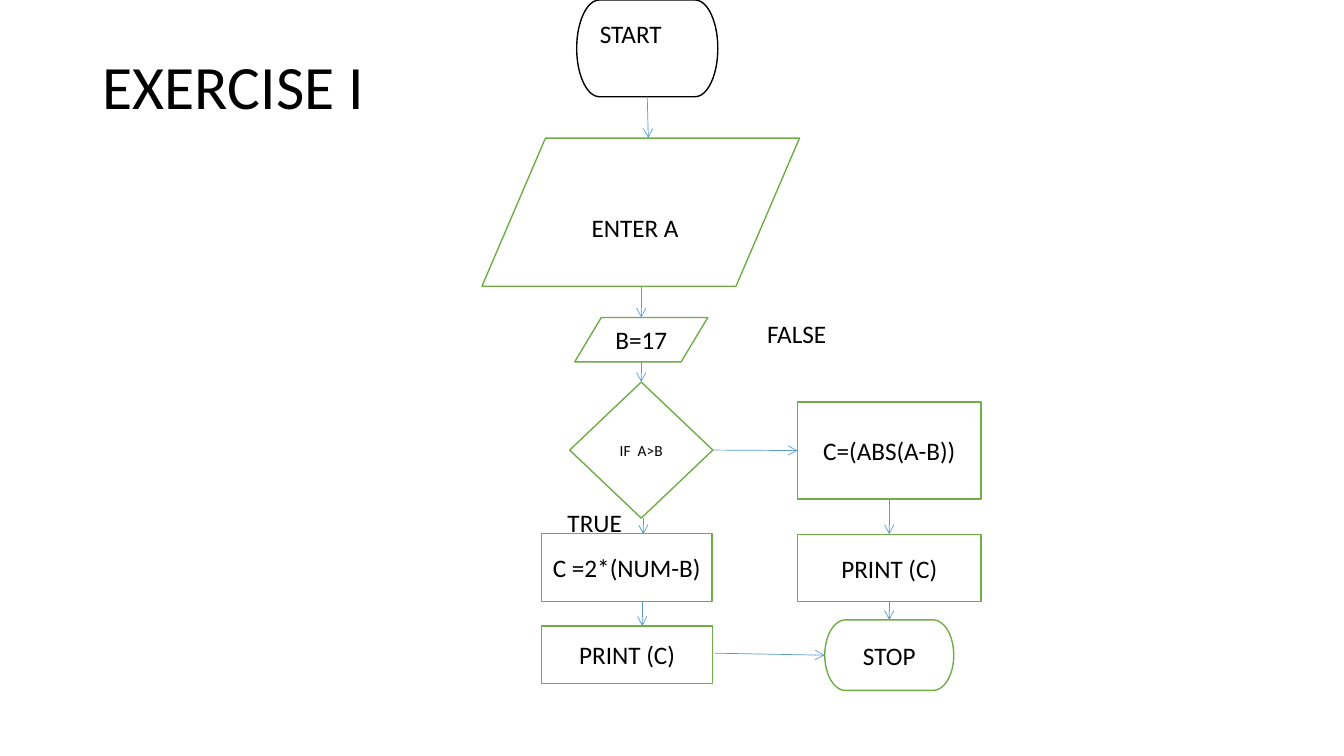
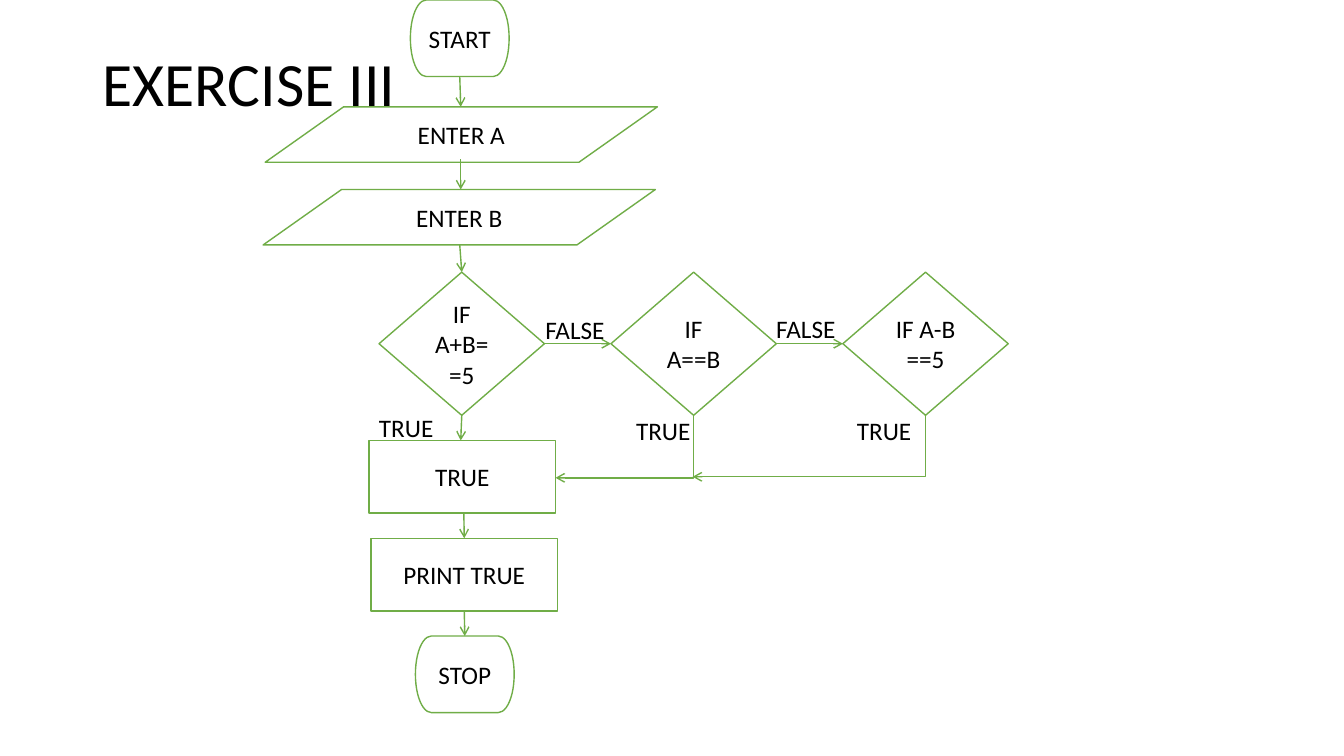
"""Build two flowchart slides for programming exercises."""
import dataclasses

import lxml.etree
import pptx
import pptx.dml.color
import pptx.enum.shapes
import pptx.enum.text
import pptx.oxml.ns
import pptx.util

KIND = pptx.enum.shapes.MSO_SHAPE
CONNECTOR = pptx.enum.shapes.MSO_CONNECTOR
ALIGN = pptx.enum.text.PP_ALIGN
ANCHOR = pptx.enum.text.MSO_ANCHOR
AUTO_SIZE = pptx.enum.text.MSO_AUTO_SIZE
TOP, LEFT, BOTTOM, RIGHT = range(4)


@dataclasses.dataclass(frozen=True)
class Theme:
    font: str = "Calibri"
    ink: str = "000000"
    paper: str = "FFFFFF"
    green: str = "70AD47"
    blue: str = "5B9BD5"
    title_size: int = 44
    body_size: int = 18
    small_size: int = 11
    outline: float = 1
    hairline: float = 0.5


THEME = Theme()


def px(n):
    return pptx.util.Emu(round(n * 9144))


def rgb(value):
    return pptx.dml.color.RGBColor.from_string(value)


def write(tf, text, size=THEME.body_size, align=ALIGN.LEFT):
    tf.word_wrap = True
    tf.text = text
    p = tf.paragraphs[0]
    p.alignment = align
    for r in p.runs:
        r.font.name = THEME.font
        r.font.size = pptx.util.Pt(size)
        r.font.color.rgb = rgb(THEME.ink)
    return p


def add_slide(prs, title, height):
    s = prs.slides.add_slide(prs.slide_layouts[5])
    sp = s.shapes.title
    sp.left, sp.top, sp.width, sp.height = map(px, (92, 40, 1150, height))
    tf = sp.text_frame
    tf.auto_size = AUTO_SIZE.NONE
    tf.vertical_anchor = ANCHOR.MIDDLE
    write(tf, title, THEME.title_size).line_spacing = 0.9
    return s


def box(s, kind, at, text="", size=THEME.body_size, line=THEME.green):
    sp = s.shapes.add_shape(kind, *map(px, at))
    sp.shadow.inherit = False
    sp.fill.solid()
    sp.fill.fore_color.rgb = rgb(THEME.paper)
    sp.line.color.rgb = rgb(line)
    sp.line.width = pptx.util.Pt(THEME.outline)
    if text:
        sp.text_frame.vertical_anchor = ANCHOR.MIDDLE
        write(sp.text_frame, text, size, ALIGN.CENTER)
    return sp


def label(s, text, left, top, width=108):
    tf = s.shapes.add_textbox(*map(px, (left, top, width, 40))).text_frame
    write(tf, text)
    tf.auto_size = AUTO_SIZE.SHAPE_TO_FIT_TEXT


def style_arrow(c, color, width):
    c.line.color.rgb = rgb(color)
    c.line.width = pptx.util.Pt(width)
    qn = pptx.oxml.ns.qn
    sp_pr = c._element.spPr
    lxml.etree.SubElement(sp_pr.find(qn("a:ln")), qn("a:tailEnd"), type="arrow")
    lxml.etree.SubElement(sp_pr, qn("a:effectLst"))


def arrow(s, boxes, start, end, color=THEME.green, width=THEME.outline):
    """Draw an arrow between ends given as (x, y) or (box name, side)."""
    joined = [isinstance(point[0], str) for point in (start, end)]
    ends = [(0, 0) if join else point for join, point in zip(joined, (start, end))]
    c = s.shapes.add_connector(CONNECTOR.STRAIGHT, *map(px, ends[0] + ends[1]))
    if joined[0]:
        c.begin_connect(boxes[start[0]], start[1])
    if joined[1]:
        c.end_connect(boxes[end[0]], end[1])
    style_arrow(c, color, width)


def down_left_arrow(s, start, end):
    """Draw a one-bend arrow that goes down and then left."""
    (x1, y1), (x2, y2) = start, end
    drop, run = y2 - y1, x1 - x2
    left, top = (x1 + x2 - drop) / 2, (y1 + y2 - run) / 2
    c = s.shapes.add_connector(
        CONNECTOR.ELBOW, *map(px, (left, top, left + drop, top + run)))
    sp_pr = c._element.spPr
    sp_pr.find(pptx.oxml.ns.qn("a:xfrm")).set("rot", "5400000")
    sp_pr.find(pptx.oxml.ns.qn("a:prstGeom")).set("prst", "bentConnector2")
    style_arrow(c, THEME.green, THEME.outline)


def exercise_one(prs):
    s = add_slide(prs, "EXERCISE I", 97)
    boxes = {
        "start": box(s, KIND.FLOWCHART_TERMINATOR, (572, 0, 140, 96), line=THEME.ink),
        "enter": box(s, KIND.FLOWCHART_DATA, (478, 137, 315, 147), "ENTER A"),
        "assign": box(s, KIND.FLOWCHART_DATA, (570, 315, 132, 44), "B=17"),
        "if": box(s, KIND.FLOWCHART_DECISION, (565, 379, 142, 135), "IF  A>B",
                  THEME.small_size),
        "abs": box(s, KIND.FLOWCHART_PROCESS, (791, 399, 182, 96), "C=(ABS(A-B))"),
        "print abs": box(s, KIND.RECTANGLE, (791, 530, 182, 67), "PRINT (C)"),
        "stop": box(s, KIND.FLOWCHART_TERMINATOR, (818, 615, 128, 70), "STOP"),
        "double": box(s, KIND.RECTANGLE, (537, 529, 169, 68), "C =2*(NUM-B)"),
        "print double": box(s, KIND.RECTANGLE, (537, 621, 170, 57), "PRINT (C)"),
    }
    tf = boxes["enter"].text_frame
    tf.margin_top, tf.margin_right = px(35), px(21)

    for start, end in (
        (("start", BOTTOM), (643, 137)),
        ((636, 284), (636, 315)),
        ((636, 359), ("if", TOP)),
        ((638, 514), (638, 530)),
        (("if", RIGHT), ("abs", LEFT)),
        (("abs", BOTTOM), ("print abs", TOP)),
        (("print abs", BOTTOM), ("stop", TOP)),
        ((637, 597), (637, 621)),
        ((709, 648), ("stop", LEFT)),
    ):
        arrow(s, boxes, start, end, THEME.blue, THEME.hairline)

    label(s, "START", 585, 13, 122)
    label(s, "TRUE", 553, 498)
    label(s, "FALSE", 751, 311, 94)


def exercise_three(prs):
    s = add_slide(prs, "EXERCISE III", 91)
    boxes = {
        "start": box(s, KIND.FLOWCHART_TERMINATOR, (407, 0, 98, 76), "START"),
        "enter a": box(s, KIND.FLOWCHART_DATA, (263, 106, 389, 55), "ENTER A"),
        "enter b": box(s, KIND.FLOWCHART_DATA, (261, 188, 389, 55), "ENTER B"),
        "true": box(s, KIND.RECTANGLE, (366, 437, 185, 72), "TRUE"),
        "print": box(s, KIND.RECTANGLE, (368, 534, 185, 72), "PRINT TRUE"),
        "stop": box(s, KIND.FLOWCHART_TERMINATOR, (412, 631, 98, 76), "STOP"),
    }
    tests = {"sum": "IF A+B==5", "equal": "IF A==B", "difference": "IF A-B ==5"}
    for i, (name, text) in enumerate(tests.items()):
        boxes[name] = box(s, KIND.DIAMOND, (376 + 230 * i, 270, 164, 142), text)

    for start, end in (
        (("start", BOTTOM), (457, 106)),
        ((457, 158), (457, 188)),
        ((456, 243), ("sum", TOP)),
        (("sum", RIGHT), ("equal", LEFT)),
        (("equal", RIGHT), ("difference", LEFT)),
        (("sum", BOTTOM), (457, 437)),
        ((460, 509), ("print", TOP)),
        (("print", BOTTOM), ("stop", TOP)),
    ):
        arrow(s, boxes, start, end)
    down_left_arrow(s, (918, 412), (687, 473))
    down_left_arrow(s, (688, 412), (551, 474))

    for text, left, top in (
        ("TRUE", 366, 404), ("FALSE", 531, 307), ("FALSE", 760, 306),
        ("TRUE", 840, 407), ("TRUE", 621, 407),
    ):
        label(s, text, left, top)


def main():
    prs = pptx.Presentation()
    prs.slide_width, prs.slide_height = px(1333), px(750)
    exercise_one(prs)
    exercise_three(prs)
    prs.save("out.pptx")


if __name__ == "__main__":
    main()
